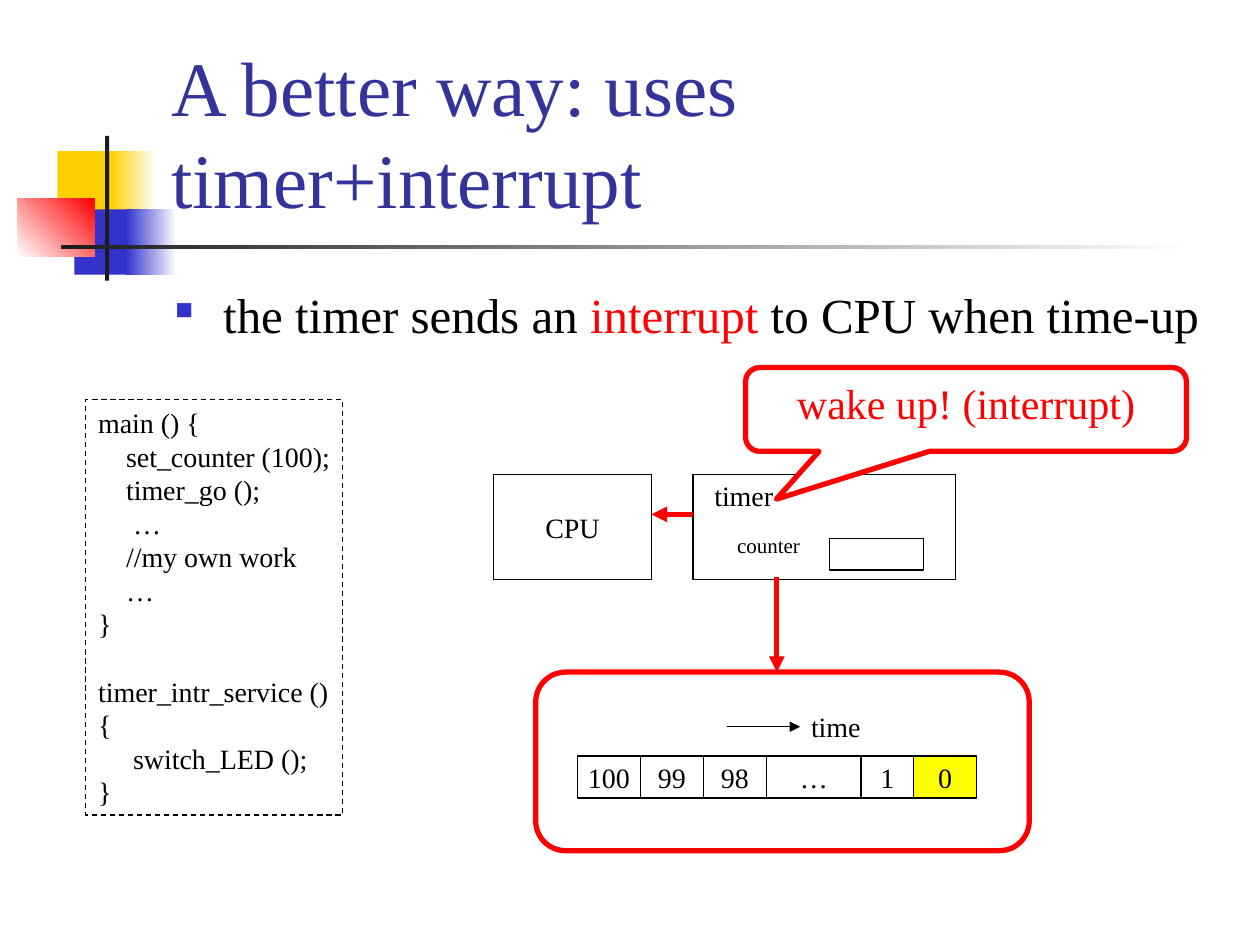
from lxml.etree import SubElement
from pptx import Presentation
from pptx.dml.color import RGBColor
from pptx.enum.dml import MSO_LINE
from pptx.enum.shapes import MSO_CONNECTOR, MSO_SHAPE
from pptx.enum.text import MSO_ANCHOR, PP_ALIGN
from pptx.oxml.ns import qn
from pptx.util import Cm, Pt

FONT = "Times New Roman"
COLORS = {
    "white": "FFFFFF", "black": "000000", "red": "FF0000", "yellow": "FFFF00",
    "gold": "FFCF01", "blue": "3333CC", "navy": "333399", "charcoal": "1C1C1C",
}
RGB = {name: RGBColor.from_string(value) for name, value in COLORS.items()}

prs = Presentation()
prs.slide_width, prs.slide_height = Cm(25.4), Cm(19.05)
slide = prs.slides.add_slide(prs.slide_layouts[6])
shapes = slide.shapes


def add_box(place, kind=MSO_SHAPE.RECTANGLE, fill=None, line=None, width=0.75):
    box = shapes.add_shape(kind, *[Cm(length) for length in place])
    box.shadow.inherit = False
    if fill:
        box.fill.solid()
        box.fill.fore_color.rgb = RGB[fill]
    else:
        box.fill.background()
    if line:
        box.line.color.rgb = RGB[line]
        box.line.width = Pt(width)
    else:
        box.line.fill.background()
    return box


def write(box, lines, size, align=PP_ALIGN.LEFT, anchor=MSO_ANCHOR.TOP, wrap=False):
    """Fill a box with lines, each a list of (text, color) runs."""
    frame = box.text_frame
    frame.word_wrap = wrap
    frame.vertical_anchor = anchor
    for number, runs in enumerate(lines):
        paragraph = frame.add_paragraph() if number else frame.paragraphs[0]
        paragraph.alignment = align
        for text, color in runs:
            run = paragraph.add_run()
            run.text = text
            run.font.name = FONT
            run.font.size = Pt(size)
            run.font.color.rgb = RGB[color]
    return frame


# Corner ornament and title rule
for place, color in [
    ((1.16, 3.05, 1.22, 1.32), "gold"),
    ((2.23, 3.05, 0.92, 1.32), ("gold", "white", 0)),
    ((1.5, 4.22, 1.17, 1.32), "blue"),
    ((2.54, 4.22, 1.02, 1.32), ("blue", "white", 0)),
    ((0.36, 4.01, 1.55, 1.17), ("white", "red", 45)),
    ((2.12, 2.74, 0.08, 2.92), "charcoal"),
    ((1.23, 4.94, 22.86, 0.08), ("charcoal", "white", 0)),
]:
    if isinstance(color, str):
        add_box(place, fill=color)
        continue
    start, end, angle = color
    fade = add_box(place).fill
    fade.gradient()
    fade.gradient_angle = angle
    for stop, name in zip(fade.gradient_stops, (start, end)):
        stop.color.rgb = RGB[name]

# Title
title = shapes.add_textbox(Cm(3.2), Cm(0.58), Cm(21.3), Cm(4.06))
write(title, [[("A better way: uses timer+interrupt", "navy")]], 44,
      anchor=MSO_ANCHOR.BOTTOM, wrap=True)

# Bullet point
point = shapes.add_textbox(Cm(3.28), Cm(5.61), Cm(21.6), Cm(1.8))
point_frame = write(point, [[
    ("the timer sends an ", "black"),
    ("interrupt", "red"),
    (" to CPU when time-up", "black"),
]], 28, wrap=True)
point_props = point_frame.paragraphs[0]._p.get_or_add_pPr()
point_props.set("marL", str(Cm(0.97)))
point_props.set("indent", str(-Cm(0.97)))
bullet_color = SubElement(point_props, qn("a:buClr"))
SubElement(bullet_color, qn("a:srgbClr"), val=COLORS["blue"])
SubElement(point_props, qn("a:buSzPct"), val="50000")
SubElement(point_props, qn("a:buChar"), char="■")

# CPU and timer blocks
cpu = add_box((9.95, 9.57, 3.18, 2.12), line="black")
write(cpu, [[("CPU", "black")]], 16, PP_ALIGN.CENTER, MSO_ANCHOR.MIDDLE)
add_box((13.97, 9.57, 5.29, 2.12), line="black")
add_box((16.72, 10.85, 1.9, 0.64), line="black")

# Program listing
code_lines = [
    "main () {",
    "    set_counter (100);",
    "    timer_go ();",
    "     …",
    "    //my own work",
    "    …",
    "}",
    "timer_intr_service ()",
    "{",
    "     switch_LED ();",
    "}",
]
program = add_box((1.73, 8.05, 5.18, 8.38), line="black")
program.line.dash_style = MSO_LINE.DASH
program_frame = write(program, [[(line, "black")] for line in code_lines], 16)
service = code_lines.index("timer_intr_service ()")
program_frame.paragraphs[service].space_before = Pt(19.2)

# Counter values over time
cell_left = 11.64
for value, cell_width, fill in [
    ("100", 1.27, None), ("99", 1.27, None), ("98", 1.27, None),
    ("…", 1.91, None), ("1", 1.06, None), ("0", 1.27, "yellow"),
]:
    cell = add_box((cell_left, 15.24, cell_width, 0.85), fill=fill, line="black")
    write(cell, [[(value, "black")]], 16, PP_ALIGN.CENTER, MSO_ANCHOR.MIDDLE)
    cell_left += cell_width

# Labels
for text, size, place in [
    ("timer", 16, (14.15, 9.53, 1.7, 0.94)),
    ("counter", 12, (14.61, 10.62, 1.78, 0.76)),
    ("time", 16, (16.1, 14.17, 1.5, 0.94)),
]:
    label = shapes.add_textbox(*[Cm(length) for length in place])
    write(label, [[(text, "black")]], size)

# Interrupt callout and count-down panel
callout = add_box((15.03, 7.41, 8.89, 1.69), MSO_SHAPE.ROUNDED_RECTANGULAR_CALLOUT,
                  fill="white", line="red", width=3)
for number, value in enumerate((-0.43, 1.07, 0.17)):
    callout.adjustments[number] = value
write(callout, [[("wake up! (interrupt)", "red")]], 24, PP_ALIGN.CENTER, wrap=True)
add_box((10.8, 13.55, 9.95, 3.6), MSO_SHAPE.ROUNDED_RECTANGLE, line="red", width=3)

# Arrows: time axis, interrupt to CPU, timer to count-down
for ends, color, width in [
    ((14.65, 14.65, 16.13, 14.65), "black", 0.75),
    ((13.97, 10.37, 13.13, 10.37), "red", 3),
    ((15.66, 11.64, 15.66, 13.55), "red", 3),
]:
    arrow = shapes.add_connector(MSO_CONNECTOR.STRAIGHT, *[Cm(end) for end in ends])
    arrow.line.color.rgb = RGB[color]
    arrow.line.width = Pt(width)
    SubElement(arrow.line._get_or_add_ln(), qn("a:tailEnd"), type="triangle")
    SubElement(arrow._element.spPr, qn("a:effectLst"))

prs.save("out.pptx")
